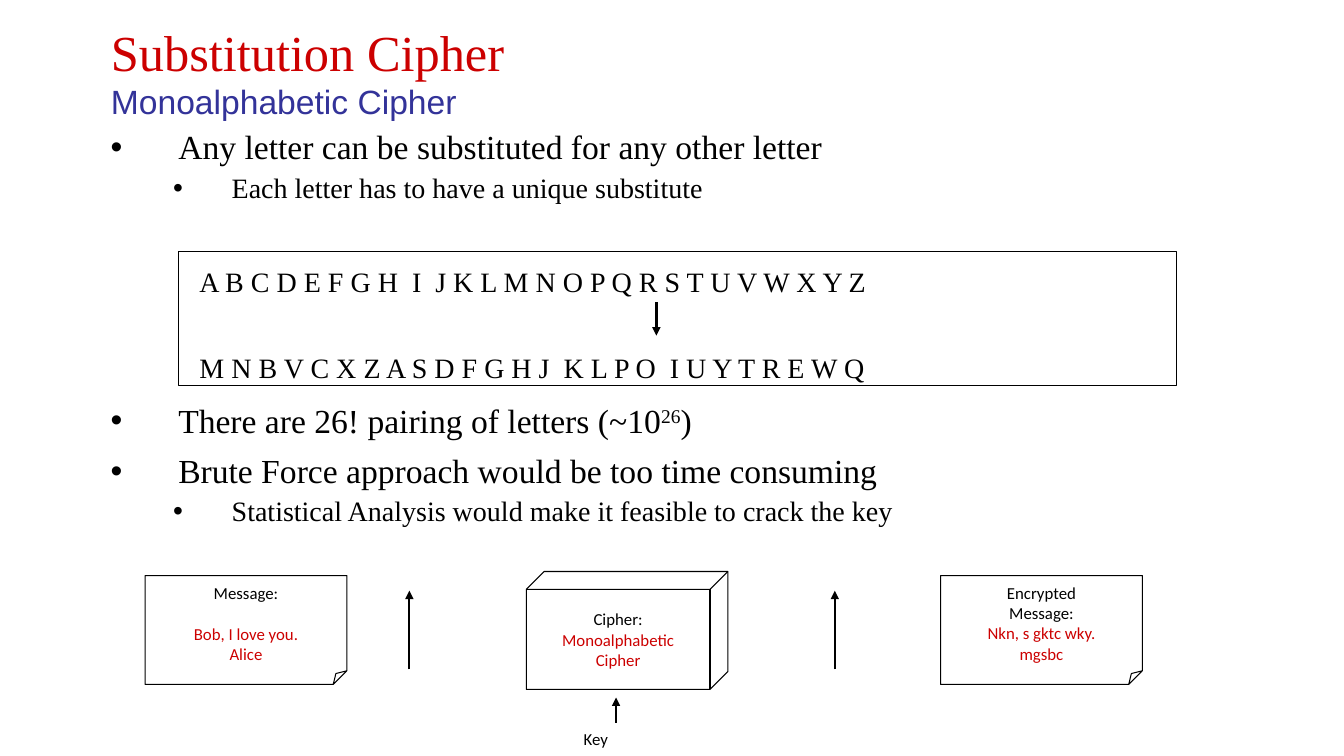
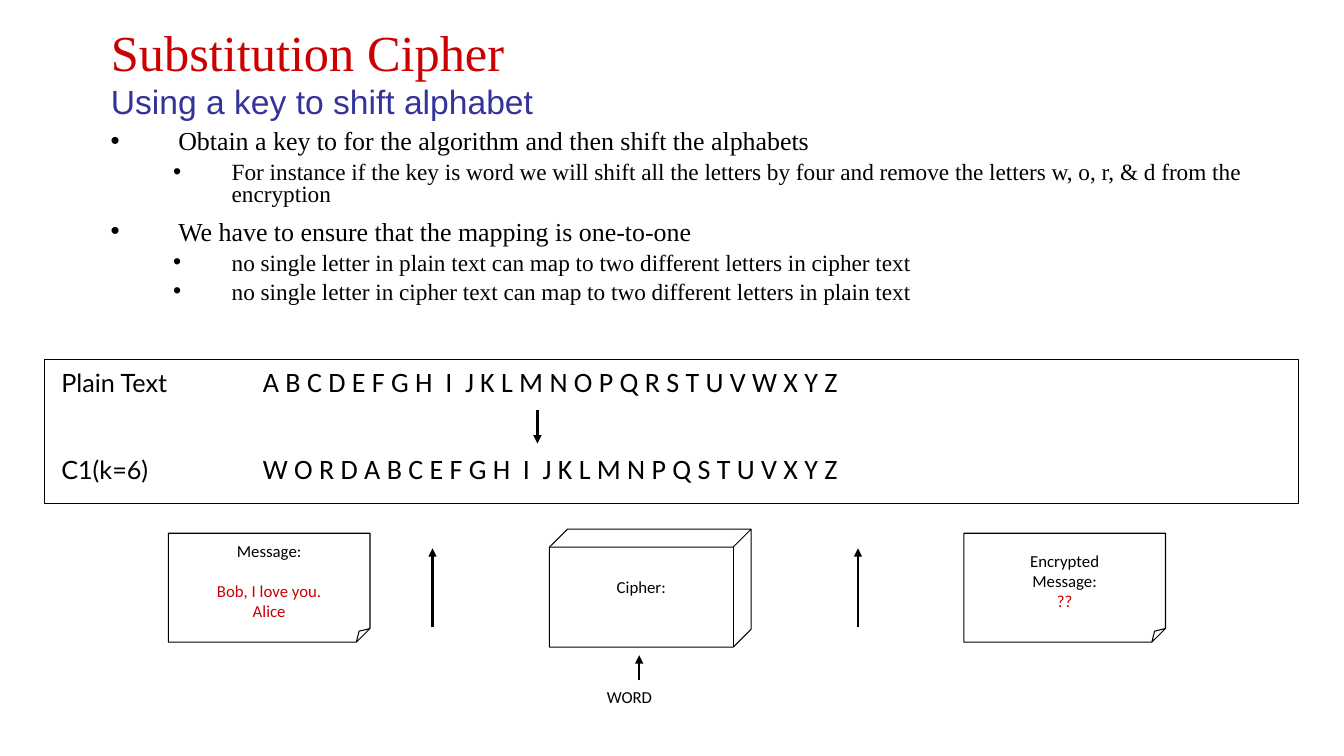
"""Builds two slides on substitution ciphers."""
from lxml import etree
from pptx import Presentation
from pptx.dml.color import RGBColor
from pptx.enum.shapes import MSO_CONNECTOR, MSO_SHAPE
from pptx.enum.text import MSO_ANCHOR, MSO_AUTO_SIZE, PP_ALIGN
from pptx.oxml.ns import qn
from pptx.util import Inches, Pt

LEFT, CENTER = PP_ALIGN.LEFT, PP_ALIGN.CENTER
TOP, MIDDLE = MSO_ANCHOR.TOP, MSO_ANCHOR.MIDDLE
FIXED = MSO_AUTO_SIZE.NONE
RECT, CUBE, NOTE = MSO_SHAPE.RECTANGLE, MSO_SHAPE.CUBE, MSO_SHAPE.FOLDED_CORNER
STRAIGHT = MSO_CONNECTOR.STRAIGHT

BLACK, RED, BLUE = "000000", "CC0000", "333399"
SERIF, SANS, PLAIN, LABEL = "Times New Roman", "Arial", "Calibri", "Lato"
INDENTS = [(0.67, -0.67), (1.2, -0.58)]
GAPS = [10, 5]
BLANK = 14.5


def color(code):
    """Turns a hex string into a colour."""
    return RGBColor.from_string(code)


def child(parent, tag, **attrs):
    """Appends an XML element with its attributes."""
    return etree.SubElement(parent, qn(tag), **attrs)


class Deck:
    """Holds the style, the file and the current slide."""

    def __init__(self):
        self.file = Presentation()
        self.file.slide_width = Inches(13.33)
        self.file.slide_height = Inches(7.5)
        self.slide = None

    def run(self, para, text, size, font, ink=BLACK):
        """Adds one styled run."""
        run = para.add_run()
        run.text = text
        run.font.size = Pt(size)
        run.font.name = font
        run.font.color.rgb = color(ink)
        return run

    def frame(self, shape, anchor=TOP):
        """Sets up the text frame of a shape."""
        frame = shape.text_frame
        frame.word_wrap = True
        frame.auto_size = FIXED
        frame.vertical_anchor = anchor
        frame.margin_left = frame.margin_right = Inches(0.1)
        frame.margin_top = frame.margin_bottom = Inches(0.05)
        return frame

    def para(self, frame, first):
        """Gives the first paragraph or a new one."""
        return frame.paragraphs[0] if first else frame.add_paragraph()

    def box(self, x, y, w, h):
        """Adds a text box and gives its frame."""
        shape = self.slide.shapes.add_textbox(Inches(x), Inches(y), Inches(w), Inches(h))
        return self.frame(shape)

    def start(self, title, sub):
        """Opens a slide with a title in two lines."""
        self.slide = self.file.slides.add_slide(self.file.slide_layouts[5])
        head = self.slide.shapes.title
        head.left, head.top = Inches(1), Inches(0.08)
        head.width, head.height = Inches(11.33), Inches(1.25)
        frame = self.frame(head, MIDDLE)
        lines = [(title, 36, SERIF, RED), (sub, 24, SANS, BLUE)]
        for i, line in enumerate(lines):
            para = self.para(frame, i == 0)
            para.alignment = LEFT
            self.run(para, *line)

    def bullets(self, y, h, items, sizes, space):
        """Adds bullets given as level, text and an optional power and tail."""
        frame = self.box(1, y, 12, h)
        for i, (level, text, *power) in enumerate(items):
            para = self.para(frame, i == 0)
            left, hang = INDENTS[level]
            props = para._p.get_or_add_pPr()
            props.set("marL", str(Inches(left)))
            props.set("indent", str(Inches(hang)))
            child(props, "a:buFont", typeface=SANS)
            child(props, "a:buChar", char="•")
            para.level = level
            para.line_spacing = space
            if i:
                para.space_before = Pt(GAPS[level])
            self.run(para, text, sizes[level], SERIF)
            if power:
                raised = self.run(para, power[0], sizes[level], SERIF)
                raised._r.get_or_add_rPr().set("baseline", "30000")
                self.run(para, power[1], sizes[level], SERIF)

    def shape(self, kind, x, y, w, h, fold=None):
        """Adds an outlined shape without fill."""
        shape = self.slide.shapes.add_shape(kind, Inches(x), Inches(y), Inches(w), Inches(h))
        shape.shadow.inherit = False
        shape.fill.background()
        shape.line.color.rgb = color(BLACK)
        shape.line.width = Pt(0.75)
        if fold:
            guides = shape._element.spPr.find(qn("a:prstGeom")).find(qn("a:avLst"))
            guides.clear()
            child(guides, "a:gd", name="adj", fmla=f"val {round(fold * 100000)}")
        return shape

    def card(self, kind, x, y, h, fold, lines, pad=0.05):
        """Adds a shape with centred lines of text, ink and space before."""
        frame = self.frame(self.shape(kind, x, y, 2, h, fold), MIDDLE)
        frame.margin_bottom = Inches(pad)
        for i, (text, ink, gap) in enumerate(lines):
            para = self.para(frame, i == 0)
            para.alignment = CENTER
            if gap:
                para.space_before = Pt(gap)
            self.run(para, text, 12, PLAIN, ink)

    def arrow(self, x, start, end, width=1.5):
        """Adds an upright arrow."""
        line = self.slide.shapes.add_connector(
            STRAIGHT, Inches(x), Inches(start), Inches(x), Inches(end))
        line.line.color.rgb = color(BLACK)
        line.line.width = Pt(width)
        props = line._element.spPr
        child(props.find(qn("a:ln")), "a:tailEnd", type="triangle")
        child(props, "a:effectLst")

    def pair(self, area, x, y, rows, font, tip):
        """Adds a framed pair of alphabets joined by an arrow."""
        self.shape(RECT, *area)
        for i, (label, text) in enumerate(rows):
            para = self.box(x, y + i * 0.86, 9.5, 0.44).paragraphs[0]
            if label:
                tabs = child(para._p.get_or_add_pPr(), "a:tabLst")
                child(tabs, "a:tab", pos=str(Inches(2)), algn="l")
                self.run(para, label, 18, LABEL)
                text = "\t" + text
            self.run(para, text, 20, font)
        self.arrow(*tip, tip[1] + 0.33, 2)

    def flow(self, x, y, cipher, result, key, pad=0.05):
        """Adds the row from message through cipher to result."""
        note = [("Message:", BLACK, 0), ("Bob, I love you.", RED, BLANK), ("Alice", RED, 0)]
        coded = [("Encrypted", BLACK, 0), ("Message:", BLACK, 0)]
        coded += [(text, RED, 0) for text in result]
        core = [("Cipher:", BLACK, 0)] + [(text, RED, 0) for text in cipher]
        self.card(NOTE, x, y + 0.04, 1.08, 0.125, note)
        self.card(CUBE, x + 3.78, y, 1.17, 0.152, core, pad)
        self.card(NOTE, x + 7.89, y + 0.04, 1.08, 0.125, coded)
        for step in (2.62, 6.84):
            self.arrow(x + step, y + 0.97, y + 0.19)
        self.arrow(x + 4.67, y + 1.5, y + 1.25)
        self.run(self.box(x + 4.25, y + 1.51, 0.8, 0.3).paragraphs[0], key, 12, PLAIN)


def main():
    """Builds and saves the slides."""
    deck = Deck()
    title = "Substitution Cipher"

    deck.start(title, "Monoalphabetic Cipher")
    sizes = (24, 20)
    deck.bullets(1.25, 0.9, [
        (0, "Any letter can be substituted for any other letter"),
        (1, "Each letter has to have a unique substitute"),
    ], sizes, 0.9)
    deck.bullets(3.96, 1.5, [
        (0, "There are 26! pairing of letters (~10", "26", ")"),
        (0, "Brute Force approach would be too time consuming"),
        (1, "Statistical Analysis would make it feasible to crack the key"),
    ], sizes, 0.9)
    deck.pair((1.77, 2.5, 9.9, 1.33), 1.88, 2.57, [
        ("", "A B C D E F G H  I  J K L M N O P Q R S T U V W X Y Z"),
        ("", "M N B V C X Z A S D F G H J  K L P O  I U Y T R E W Q"),
    ], SERIF, (6.51, 3))
    deck.flow(1.44, 5.67, ["Monoalphabetic", "Cipher"],
              ["Nkn, s gktc wky.", "mgsbc"], "Key")

    deck.start(title, "Using a key to shift alphabet")
    deck.bullets(1.25, 1.92, [
        (0, "Obtain a key to for the algorithm and then shift the alphabets"),
        (1, "For instance if the key is word we will shift all the letters by four "
            "and remove the letters w, o, r, & d from the encryption"),
        (0, "We have to ensure that the mapping is one-to-one"),
        (1, "no single letter in plain text can map to two different letters in cipher text"),
        (1, "no single letter in cipher text can map to two different letters in plain text"),
    ], (18.5, 16.6), 0.8)
    deck.pair((0.44, 3.57, 12.44, 1.43), 0.51, 3.57, [
        ("Plain Text", "A B C D E F G H  I  J K L M N O P Q R S T U V W X Y Z"),
        ("C1(k=6)", "W O R D A B C E F G H  I  J K L M N P Q S T U V X Y Z"),
    ], PLAIN, (5.33, 4.07))
    deck.flow(1.67, 5.25, [], ["??"], "WORD", 0.25)

    deck.file.save("out.pptx")


if __name__ == "__main__":
    main()
